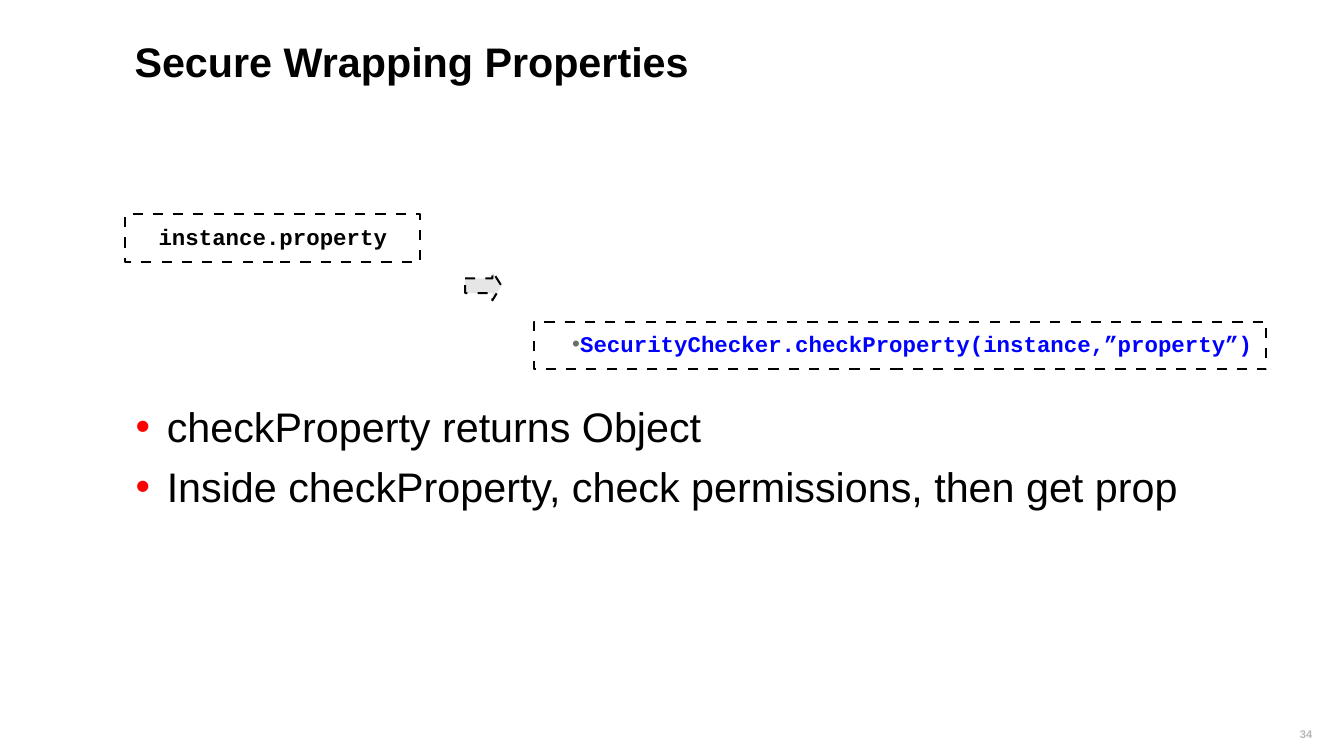
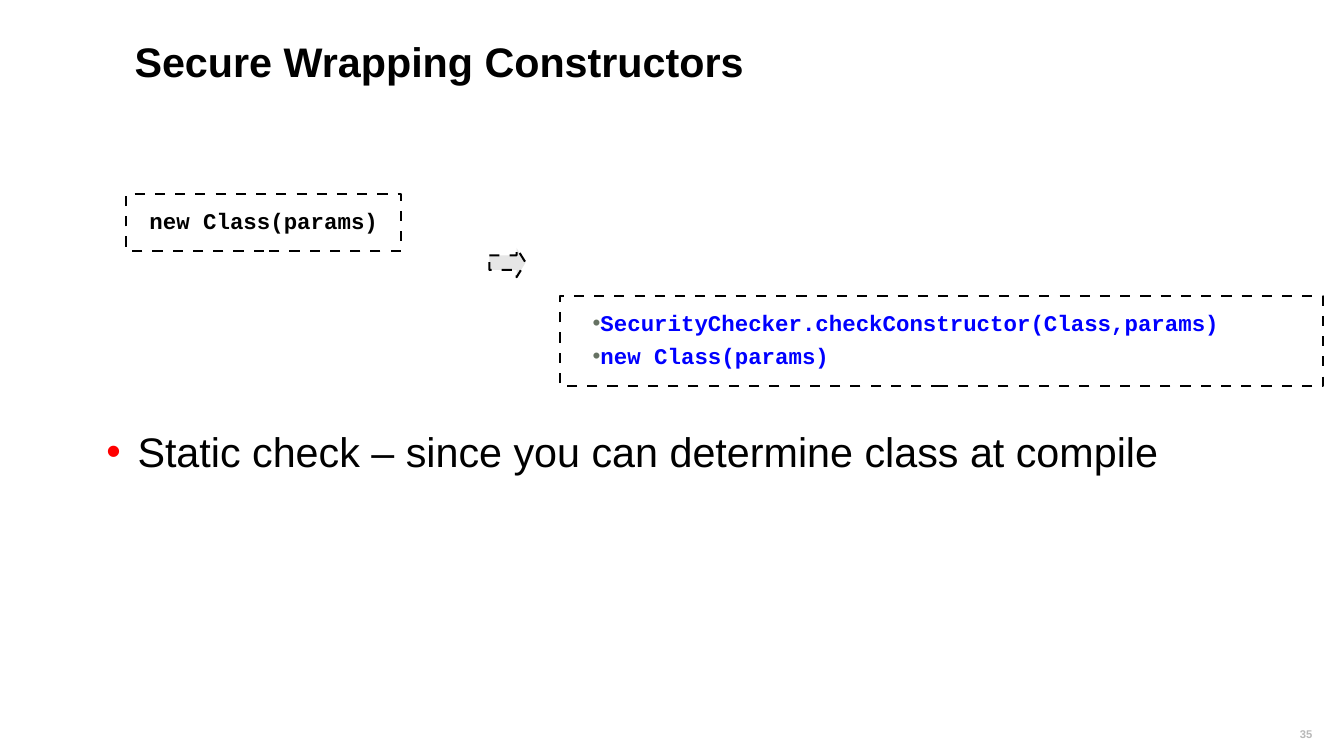
from lxml.etree import SubElement
from pptx import Presentation
from pptx.dml.color import RGBColor
from pptx.enum.shapes import MSO_SHAPE as Shape
from pptx.enum.text import MSO_ANCHOR as Anchor, PP_ALIGN as Align
from pptx.oxml.ns import qn
from pptx.util import Inches, Pt

COLOURS = {
    "paper": "FFFFFF",
    "ink": "000000",
    "code": "0000FF",
    "arrow": "E6E6E6",
    "bullet": "FF0000",
    "code_bullet": "667263",
    "number": "B8B8B8",
}
TEXT_FONT = "Arial"
CODE_FONT = "Courier New"


def colour(name):
    return RGBColor.from_string(COLOURS[name])


def set_margins(frame, sides, ends):
    frame.word_wrap = True
    frame.margin_left = frame.margin_right = Inches(sides)
    frame.margin_top = frame.margin_bottom = Inches(ends)


def add_bullet(para, tint, margin, indent):
    props = para._p.get_or_add_pPr()
    props.set("marL", str(Inches(margin)))
    props.set("indent", str(Inches(indent)))
    fill = SubElement(props, qn("a:buClr"))
    SubElement(fill, qn("a:srgbClr"), val=COLOURS[tint])
    SubElement(props, qn("a:buFont"), typeface=TEXT_FONT)
    SubElement(props, qn("a:buChar"), char="•")


def write_lines(frame, lines, size, tint, font=TEXT_FONT, bold=False,
                align=Align.LEFT, spacing=None, before=0, bullet=None):
    for index, line in enumerate(lines):
        para = frame.add_paragraph() if index else frame.paragraphs[0]
        para.text = line
        para.alignment = align
        para.line_spacing = spacing
        para.space_before = Pt(before)
        para.font.name = font
        para.font.size = Pt(size)
        para.font.bold = bold
        para.font.color.rgb = colour(tint)
        if bullet:
            add_bullet(para, *bullet)


def add_text(page, place, lines, size, tint, margins=(0, 0), **style):
    box = page.shapes.add_textbox(*map(Inches, place))
    set_margins(box.text_frame, *margins)
    write_lines(box.text_frame, lines, size, tint, **style)


def add_dashed_shape(page, kind, place, fill):
    shape = page.shapes.add_shape(kind, *map(Inches, place))
    shape.shadow.inherit = False
    shape.fill.solid()
    shape.fill.fore_color.rgb = colour(fill)
    shape.line.width = Pt(2.89)
    shape.line.color.rgb = colour("ink")
    dashes = SubElement(shape.line._get_or_add_ln(), qn("a:custDash"))
    SubElement(dashes, qn("a:ds"), d="500000", sp="500000")
    return shape


def add_code_box(page, place, lines, tint="ink", align=Align.CENTER, bullet=None):
    frame = add_dashed_shape(page, Shape.RECTANGLE, place, "paper").text_frame
    set_margins(frame, 0.15, 0.15)
    frame.vertical_anchor = Anchor.MIDDLE
    write_lines(frame, lines, 32, tint, font=CODE_FONT, bold=True, align=align,
                spacing=0.9, before=12.5, bullet=bullet)


def add_checked_code(page, place, lines, align):
    add_code_box(page, place, lines, "code", align, ("code_bullet", 0.5, 0))


def add_arrow(page, left, top):
    arrow = add_dashed_shape(page, Shape.RIGHT_ARROW, (left, top, 0.72, 0.58), "arrow")
    arrow.adjustments[0] = 0.5
    arrow.adjustments[1] = 0.31


def add_points(page, place, lines):
    add_text(page, place, lines, 59, "ink", before=14.7, bullet=("bullet", 0.62, -0.62))


def add_page(deck, title, number):
    page = deck.slides.add_slide(deck.slide_layouts[6])
    page.background.fill.solid()
    page.background.fill.fore_color.rgb = colour("paper")
    add_text(page, (24.14, 14.42, 2, 0.34), [str(number)], 16, "number", (0.1, 0.05),
             bold=True, align=Align.RIGHT, spacing=0.9, before=10)
    add_text(page, (2.67, 0.72, 21.33, 1.88), [title], 59, "ink", bold=True)
    return page


def add_properties_page(deck):
    page = add_page(deck, "Secure Wrapping Properties", 34)
    add_points(page, (2.69, 7.96, 21.33, 5.05), [
        "checkProperty returns Object",
        "Inside checkProperty, check permissions, then get prop",
    ])
    add_checked_code(page, (10.59, 6.38, 14.54, 0.95),
                     ["SecurityChecker.checkProperty(instance,”property”)"], Align.CENTER)
    add_arrow(page, 9.23, 5.38)
    add_code_box(page, (2.49, 4.25, 5.85, 0.95), ["instance.property"])


def add_constructors_page(deck):
    page = add_page(deck, "Secure Wrapping Constructors", 35)
    add_points(page, (2.11, 8.46, 21.33, 3.85),
               ["Static check – since you can determine class at compile"])
    add_checked_code(page, (11.11, 5.87, 15.14, 1.79), [
        "SecurityChecker.checkConstructor(Class,params)",
        "new Class(params)",
    ], Align.LEFT)
    add_code_box(page, (2.51, 3.85, 5.45, 1.13), ["new Class(params)"])
    add_arrow(page, 9.71, 4.92)


def main():
    deck = Presentation()
    deck.slide_width = Inches(26.67)
    deck.slide_height = Inches(15)
    add_properties_page(deck)
    add_constructors_page(deck)
    deck.save("out.pptx")


if __name__ == "__main__":
    main()
